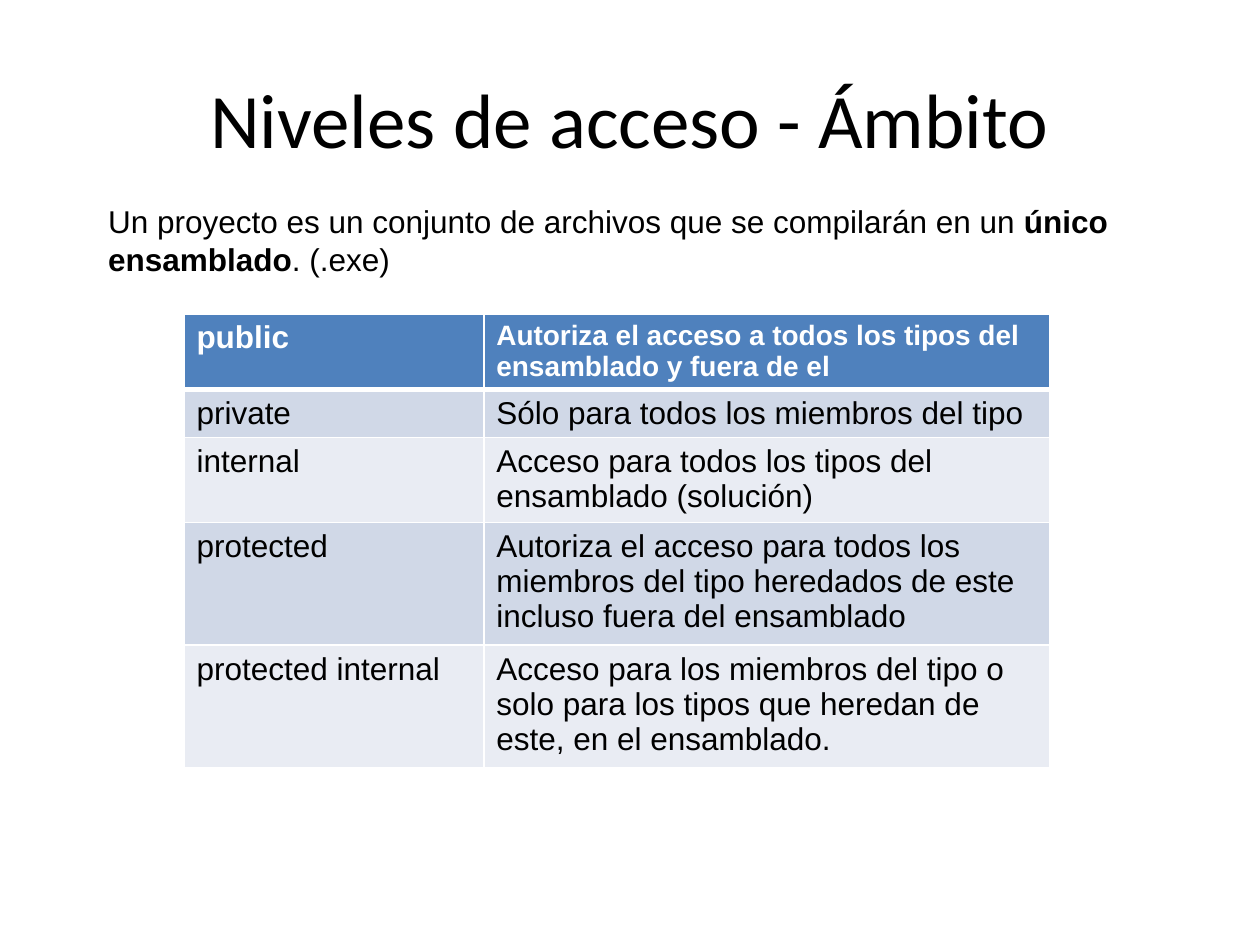
from lxml.etree import SubElement
from pptx import Presentation
from pptx.dml.color import RGBColor
from pptx.enum.text import MSO_ANCHOR, PP_ALIGN
from pptx.oxml.ns import qn
from pptx.util import Inches, Pt

WIDTH, HEIGHT = 10, 7.5
BLACK, WHITE = "000000", "FFFFFF"
HEADER_FILL, BAND_FILLS = "4F81BD", ("D0D8E7", "E9ECF3")
THIN, THICK = 0.96, 3

TITLE = "Niveles de acceso - Ámbito"
INTRO = [
    ("Un proyecto es un conjunto de archivos que se compilarán en un ", False),
    ("único ensamblado", True),
    (". (.exe)", False),
]
ACCESS_LEVELS = [
    ("public", "Autoriza el acceso a todos los tipos del ensamblado y fuera de el"),
    ("private", "Sólo para todos los miembros del tipo"),
    ("internal", "Acceso para todos los tipos del ensamblado (solución)"),
    ("protected", "Autoriza el acceso para todos los miembros del tipo "
                  "heredados de este incluso fuera del ensamblado"),
    ("protected internal", "Acceso para los miembros del tipo o solo para los "
                           "tipos que heredan de este, en el ensamblado."),
]


def color(value):
    return RGBColor.from_string(value)


class SlideBuilder:
    """Holds the text style and the current slide; boxes are shares of the slide."""

    body_font, title_font = "Arial", "Calibri"
    body_size, title_size = 18, 44

    def __init__(self, presentation):
        self.slide = presentation.slides.add_slide(presentation.slide_layouts[5])

    def box(self, left, top, width, height):
        return (Inches(left * WIDTH), Inches(top * HEIGHT),
                Inches(width * WIDTH), Inches(height * HEIGHT))

    def style(self, font, name, size, text_color, bold=None):
        font.name, font.size, font.bold = name, Pt(size), bold
        font.color.rgb = color(text_color)

    def title(self, text, box):
        shape = self.slide.shapes.title
        shape.left, shape.top, shape.width, shape.height = self.box(*box)
        frame = shape.text_frame
        frame.text = text
        frame.vertical_anchor = MSO_ANCHOR.MIDDLE
        paragraph = frame.paragraphs[0]
        paragraph.alignment = PP_ALIGN.CENTER
        self.style(paragraph.font, self.title_font, self.title_size, BLACK)

    def text(self, runs, box):
        frame = self.slide.shapes.add_textbox(*self.box(*box)).text_frame
        frame.word_wrap = True
        paragraph = frame.paragraphs[0]
        self.style(paragraph.font, self.body_font, self.body_size, BLACK)
        for content, bold in runs:
            run = paragraph.add_run()
            run.text, run.font.bold = content, bold

    def borders(self, cell, top, bottom):
        properties = cell._tc.get_or_add_tcPr()
        for side, width in (("L", THIN), ("R", THIN), ("T", top), ("B", bottom)):
            line = SubElement(properties, qn(f"a:ln{side}"), w=str(Pt(width)))
            fill = SubElement(line, qn("a:solidFill"))
            SubElement(fill, qn("a:srgbClr"), val=WHITE)

    def table(self, rows, box, column_widths, row_heights):
        table = self.slide.shapes.add_table(
            len(rows), len(column_widths), *self.box(*box)).table
        for column, width in zip(table.columns, column_widths):
            column.width = Inches(width * WIDTH)
        for row, height in zip(table.rows, row_heights):
            row.height = Inches(height * HEIGHT)
        for row_index, texts in enumerate(rows):
            header = row_index == 0
            fill = HEADER_FILL if header else BAND_FILLS[(row_index - 1) % 2]
            for column_index, content in enumerate(texts):
                cell = table.cell(row_index, column_index)
                self.borders(cell, THICK if row_index == 1 else THIN,
                             THICK if header else THIN)
                cell.fill.solid()
                cell.fill.fore_color.rgb = color(fill)
                cell.text = content
                size = 16 if header and column_index else self.body_size
                self.style(cell.text_frame.paragraphs[0].font, self.body_font,
                           size, WHITE if header else BLACK, header)


def main():
    presentation = Presentation()
    presentation.slide_width = Inches(WIDTH)
    presentation.slide_height = Inches(HEIGHT)
    builder = SlideBuilder(presentation)

    # Title
    builder.title(TITLE, (0.05, 0.04, 0.9, 0.17))

    # Table of access levels
    one_line, two_lines, three_lines = 0.05, 0.09, 0.13
    row_heights = (0.08, one_line, two_lines, three_lines, three_lines)
    column_widths = (0.238, 0.449)
    builder.table(ACCESS_LEVELS,
                  (0.146, 0.332, sum(column_widths), sum(row_heights)),
                  column_widths, row_heights)

    # Introduction
    builder.text(INTRO, (0.076, 0.207, 0.867, 0.09))

    presentation.save("out.pptx")


if __name__ == "__main__":
    main()
